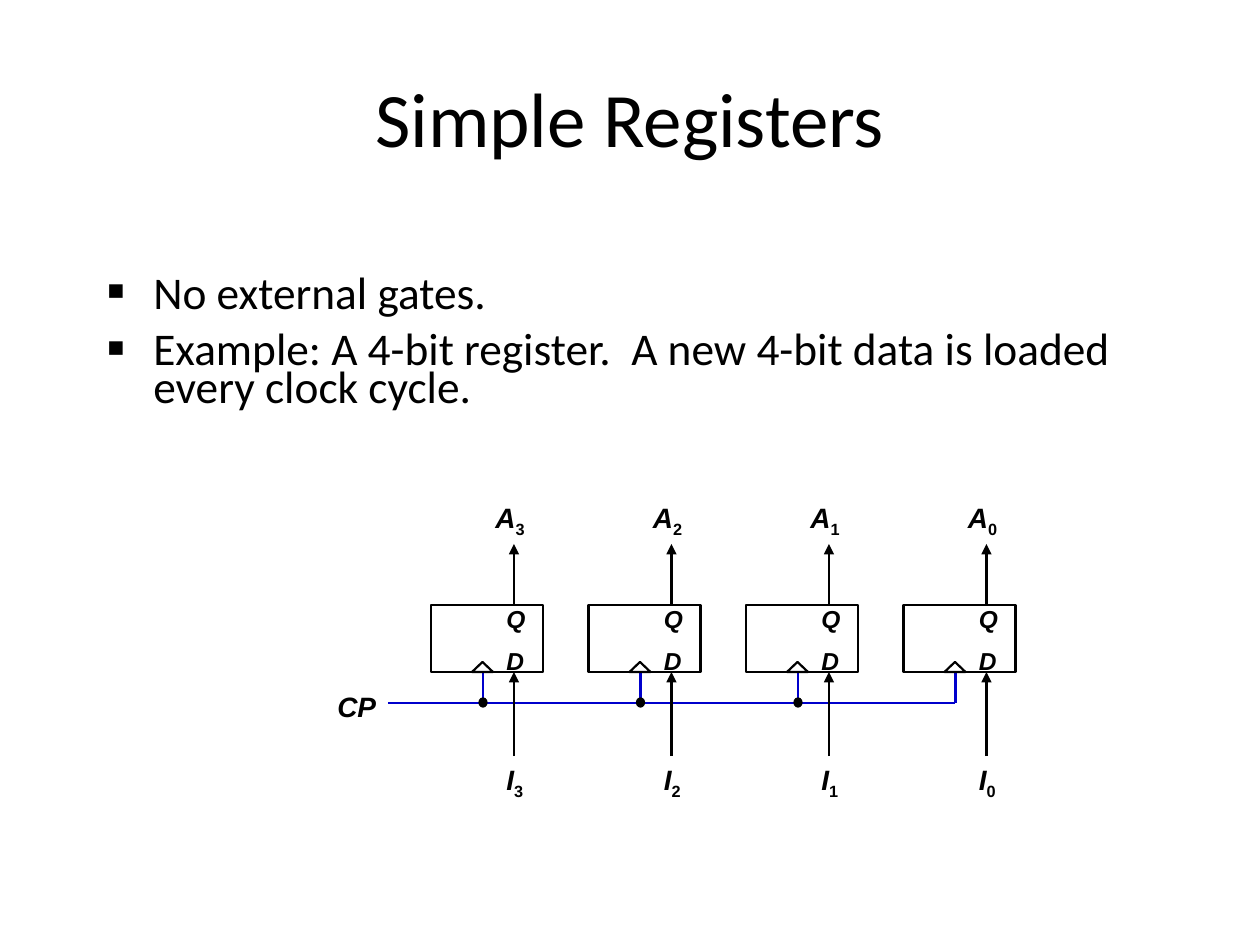
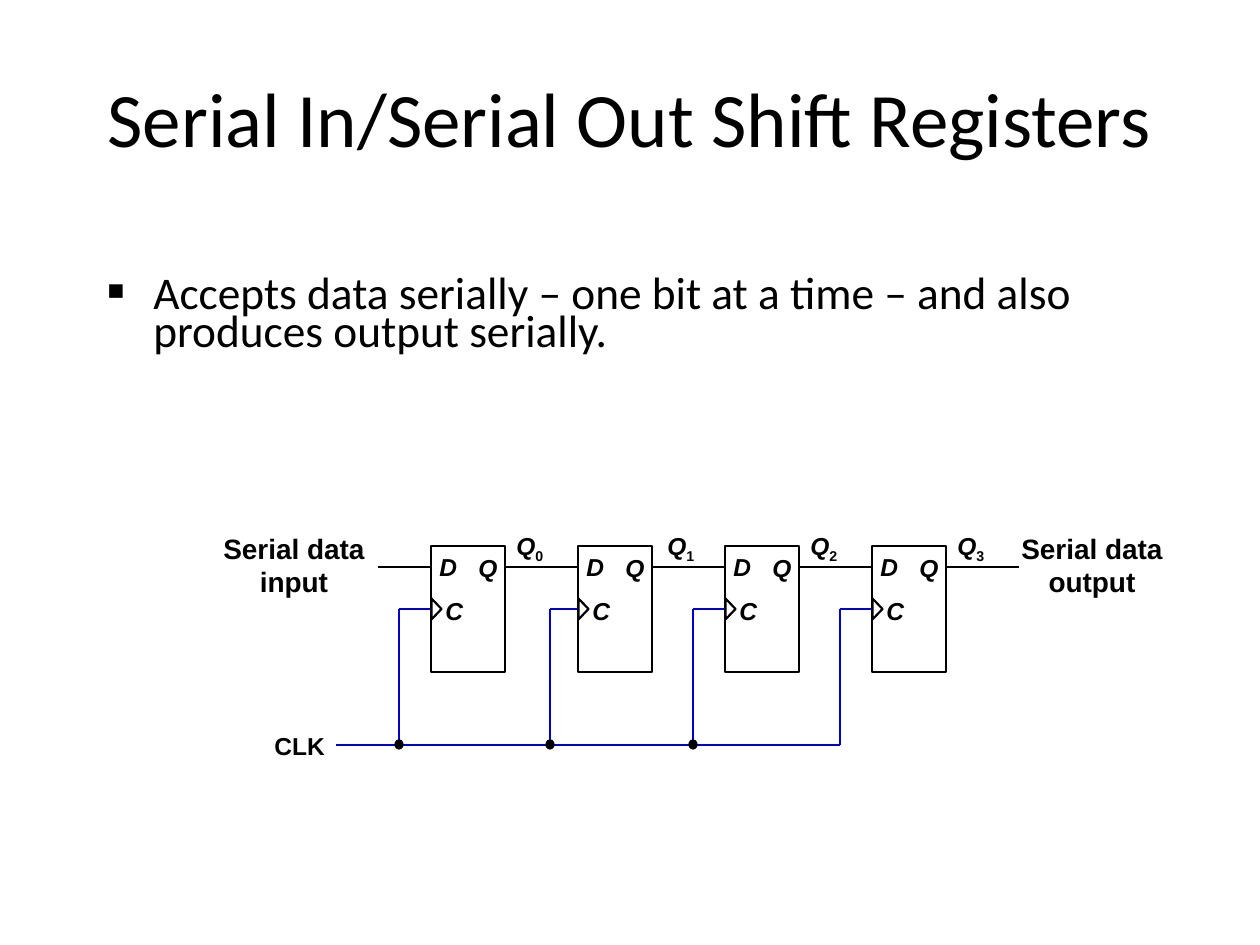
import pptx
import pptx.util
import pptx.dml.color
import pptx.enum.shapes
import pptx.enum.text
import pptx.oxml.xmlchemy

RGBColor = pptx.dml.color.RGBColor
Pt = pptx.util.Pt
SHAPE = pptx.enum.shapes.MSO_SHAPE
FIT = pptx.enum.text.MSO_AUTO_SIZE
ALIGN = pptx.enum.text.PP_ALIGN
ANCHOR = pptx.enum.text.MSO_ANCHOR
new_tag = pptx.oxml.xmlchemy.OxmlElement

# Content
TITLES = ["Simple Registers", "Serial In/Serial Out Shift Registers"]
POINTS = [
    ["No external gates.",
     "Example: A 4-bit register.  A new 4-bit data is loaded every clock cycle."],
    ["Accepts data serially – one bit at a time – and also produces output serially."],
]
BITS = ["3", "2", "1", "0"]
STAGES = ["0", "1", "2", "3"]
NUDGE = [0, 4, 0, 0]  # extra shift of each stage's clock tap and output label

# Shared style
BLACK = RGBColor(0, 0, 0)
WHITE = RGBColor(255, 255, 255)
BLUE = RGBColor(0, 0, 0xCC)
HEAD, BODY = "Calibri", "Calibri"
LABEL = "Arial"
PX = 914400 / 126
TALL = {14: 42, 16: 47}  # label height by text size


def px(n):
    return round(n * PX)


def place(x, y, w, h):
    return px(x), px(y), px(w), px(h)


def add_run(par, text, font, size, bold=False, ital=False):
    run = par.add_run()
    run.text = text
    run.font.name = font
    run.font.size = Pt(size)
    run.font.bold = bold
    run.font.italic = ital
    run.font.color.rgb = BLACK
    return run


def set_title(slide, text):
    box = slide.shapes.title
    box.left, box.top, box.width, box.height = place(63, 38, 1134, 158)
    frame = box.text_frame
    frame.word_wrap = True
    frame.auto_size = FIT.NONE
    frame.vertical_anchor = ANCHOR.MIDDLE
    par = frame.paragraphs[0]
    par.alignment = ALIGN.CENTER
    add_run(par, text, HEAD, 44)


def add_points(slide, points, high):
    frame = slide.shapes.add_textbox(*place(94, 273, 1061, high)).text_frame
    frame.word_wrap = True
    for i, text in enumerate(points):
        par = frame.add_paragraph() if i else frame.paragraphs[0]
        prop = par._p.get_or_add_pPr()
        prop.set("marL", str(px(47)))
        prop.set("indent", str(-px(47)))
        for tag, key, val in [("a:buSzPct", "val", "120000"),
                              ("a:buFont", "typeface", LABEL),
                              ("a:buChar", "char", "▪")]:
            item = new_tag(tag)
            item.set(key, val)
            prop.append(item)
        par.line_spacing = 0.7
        if i:
            par.space_before = Pt(10.4)
        add_run(par, text, BODY, 25.9)


def add_label(slide, x, y, w, text, sub="", size=14, ital=True):
    frame = slide.shapes.add_textbox(*place(x, y, w, TALL[size])).text_frame
    frame.word_wrap = False
    frame.auto_size = FIT.SHAPE_TO_FIT_TEXT
    par = frame.paragraphs[0]
    add_run(par, text, LABEL, size, True, ital)
    if sub:
        low = add_run(par, sub, LABEL, size, True)
        low._r.get_or_add_rPr().set("baseline", "-25000")


def add_note(slide, x, text):
    frame = slide.shapes.add_textbox(*place(x, 525, 168, 81)).text_frame
    frame.word_wrap = True
    par = frame.paragraphs[0]
    par.alignment = ALIGN.CENTER
    add_run(par, text, LABEL, 16, True)


def add_wire(slide, x1, y1, x2, y2, color=BLACK, arrow=False):
    wire = slide.shapes.add_connector(
        pptx.enum.shapes.MSO_CONNECTOR.STRAIGHT, px(x1), px(y1), px(x2), px(y2))
    wire.line.color.rgb = color
    wire.line.width = Pt(1.25)
    if arrow:
        tip = new_tag("a:tailEnd")
        tip.set("type", "triangle")
        wire.line._get_or_add_ln().append(tip)
    wire._element.spPr.append(new_tag("a:effectLst"))
    return wire


def add_form(slide, kind, x, y, w, h, thick, fill=None):
    form = slide.shapes.add_shape(kind, *place(x, y, w, h))
    form.shadow.inherit = False
    if fill is None:
        form.fill.background()
    else:
        form.fill.solid()
        form.fill.fore_color.rgb = fill
    form.line.color.rgb = BLACK
    form.line.width = Pt(thick)
    return form


def add_dot(slide, x, y):
    add_form(slide, SHAPE.OVAL, x - 4, y - 5, 8, 9, 0.75, BLACK)


def draw_load(slide):
    """Four flip-flops loaded side by side from one clock."""
    left, step, top, foot, bus = 431, 157.5, 605, 672, 703
    add_wire(slide, 388, bus, left + 3 * step + 52, bus, BLUE)
    add_label(slide, 325, 683, 64, "CP", size=16)
    for i, bit in enumerate(BITS):
        x = left + i * step
        clock, data, text = x + 52, x + 83, x + 63
        add_wire(slide, clock, foot, clock, bus, BLUE)
        add_wire(slide, data, 756, data, foot, arrow=True)
        add_wire(slide, data, top, data, 544, arrow=True)
        add_form(slide, SHAPE.RECTANGLE, x, top, 112, foot - top, 1.5)
        add_form(slide, SHAPE.ISOSCELES_TRIANGLE, clock - 11, foot - 10, 21, 10, 1.25)
        if i < len(BITS) - 1:
            add_dot(slide, clock, bus)
        add_label(slide, clock, 494, 57, "A", bit, 16)
        add_label(slide, text, 598, 44, "Q")
        add_label(slide, text, 640, 43, "D")
        add_label(slide, text, 756, 44, "I", bit, 16)


def draw_shift(slide):
    """Four flip-flops chained from input to output."""
    left, step, wide, top, high, bus = 431, 147, 74, 546, 126, 745
    data, clock = 567, top + high / 2
    add_wire(slide, 336, bus, left + 3 * step - 32, bus, BLUE)
    add_wire(slide, 378, data, left, data)
    add_label(slide, 262, 725, 76, "CLK", ital=False)
    add_note(slide, 210, "Serial data input")
    add_note(slide, 1008, "Serial data output")
    for i, (bit, move) in enumerate(zip(STAGES, NUDGE)):
        x = left + i * step
        tap = x - 32 + move
        box = add_form(slide, SHAPE.RECTANGLE, x, top, wide, high, 1.5)
        add_wire(slide, tap, clock, x, clock, BLUE).end_connect(box, 1)
        add_wire(slide, tap, clock, tap, bus, BLUE)
        add_wire(slide, x + wide, data, x + step, data)
        notch = add_form(slide, SHAPE.ISOSCELES_TRIANGLE, x - 5, clock - 5, 21, 10, 1.25)
        notch.rotation = 90
        if i < len(STAGES) - 1:
            add_dot(slide, tap, bus)
        add_label(slide, x - 4, top, 43, "D")
        add_label(slide, x + 2, 590, 43, "C")
        add_label(slide, x + 35, top + 1, 42, "Q")
        add_label(slide, x + 73 + move, 525, 53, "Q", bit)


def main():
    deck = pptx.Presentation()
    deck.slide_width, deck.slide_height = px(1260), px(945)
    parts = zip(TITLES, POINTS, [164, 96], [draw_load, draw_shift])
    for title, points, high, draw in parts:
        slide = deck.slides.add_slide(deck.slide_layouts[5])
        slide.background.fill.solid()
        slide.background.fill.fore_color.rgb = WHITE
        set_title(slide, title)
        add_points(slide, points, high)
        draw(slide)
    deck.save("out.pptx")


if __name__ == "__main__":
    main()
